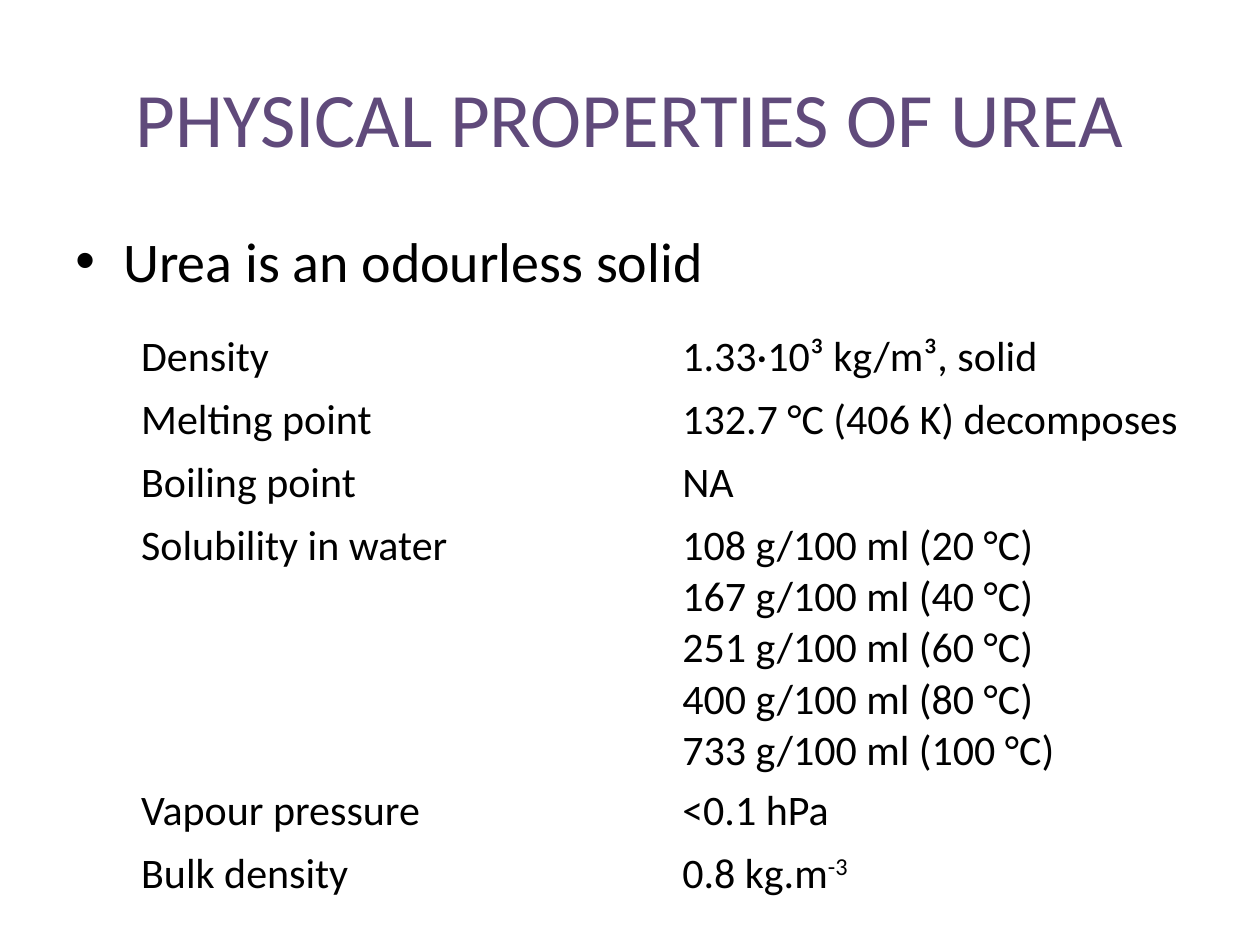
"""Build a slide on the physical properties of urea."""
from dataclasses import dataclass

from lxml.etree import SubElement
from pptx import Presentation
from pptx.dml.color import RGBColor as Color
from pptx.enum.text import MSO_ANCHOR as Anchor, PP_ALIGN as Align
from pptx.oxml.ns import qn
from pptx.util import Inches, Pt


@dataclass(frozen=True)
class Theme:
    font: str = "Calibri"
    accent: Color = Color(0x60, 0x4A, 0x7B)
    ink: Color = Color(0, 0, 0)
    title_size: int = 44
    body_size: int = 32
    table_size: int = 24


@dataclass(frozen=True)
class Property:
    name: str
    values: tuple[str, ...]
    exponent: str = ""


THEME = Theme()
WIDTH, HEIGHT = Inches(10), Inches(7.5)
MARGIN = WIDTH // 20
LINE_HEIGHT, CELL_PADDING = Inches(0.4), Inches(0.05)
SOLUBILITY = ((108, 20), (167, 40), (251, 60), (400, 80), (733, 100))
PROPERTIES = (
    Property("Density", ("1.33·10³ kg/m³, solid",)),
    Property("Melting point", ("132.7 °C (406 K) decomposes",)),
    Property("Boiling point", ("NA",)),
    Property("Solubility in water",
             tuple(f"{grams} g/100 ml ({degrees} °C)" for grams, degrees in SOLUBILITY)),
    Property("Vapour pressure", ("<0.1 hPa",)),
    Property("Bulk density", ("0.8 kg.m",), exponent="-3"),
)


def style(para, size: int, color: Color, align: Align) -> None:
    para.alignment = align
    for span in para.runs:
        span.font.name = THEME.font
        span.font.size = Pt(size)
        span.font.color.rgb = color


def add_title(page, text: str) -> None:
    title = page.shapes.title
    title.left, title.top = MARGIN, Inches(0.3)
    title.width, title.height = WIDTH - 2 * MARGIN, HEIGHT // 6
    title.text_frame.text = text
    title.text_frame.vertical_anchor = Anchor.MIDDLE
    style(title.text_frame.paragraphs[0], THEME.title_size, THEME.accent, Align.CENTER)


def add_bullet(page, text: str) -> None:
    box = page.shapes.add_textbox(MARGIN, Inches(1.75), WIDTH - 2 * MARGIN, Inches(5.44))
    box.text_frame.word_wrap = True
    para = box.text_frame.paragraphs[0]
    para.text = text
    settings = para._p.get_or_add_pPr()
    indent = Inches(0.38)
    settings.set("marL", str(indent))
    settings.set("indent", str(-indent))
    SubElement(settings, qn("a:buFont"), typeface="Arial")
    SubElement(settings, qn("a:buChar"), char="•")
    style(para, THEME.body_size, THEME.ink, Align.LEFT)


def fill_cell(cell, lines: tuple[str, ...], exponent: str = "") -> None:
    cell.fill.background()
    cell.margin_top = cell.margin_bottom = CELL_PADDING
    cell.text_frame.text = "\n".join(lines)
    if exponent:
        span = cell.text_frame.paragraphs[-1].add_run()
        span.text = exponent
        span._r.get_or_add_rPr().set("baseline", "30000")
    for para in cell.text_frame.paragraphs:
        style(para, THEME.table_size, THEME.ink, Align.JUSTIFY)


def add_properties(page, properties: tuple[Property, ...]) -> None:
    heights = [LINE_HEIGHT * len(item.values) + 2 * CELL_PADDING for item in properties]
    frame = page.shapes.add_table(len(properties), 2, Inches(1.02), Inches(2.58),
                                  Inches(8.59), sum(heights))
    table = frame.table
    table.first_row = table.horz_banding = False
    for row, item, height in zip(table.rows, properties, heights):
        row.height = height
        fill_cell(row.cells[0], (item.name,))
        fill_cell(row.cells[1], item.values, item.exponent)


def main() -> None:
    deck = Presentation()
    deck.slide_width, deck.slide_height = WIDTH, HEIGHT
    page = deck.slides.add_slide(deck.slide_layouts.get_by_name("Title Only"))
    add_title(page, "PHYSICAL PROPERTIES OF UREA")
    add_bullet(page, "Urea is an odourless solid")
    add_properties(page, PROPERTIES)
    deck.save("out.pptx")


if __name__ == "__main__":
    main()
